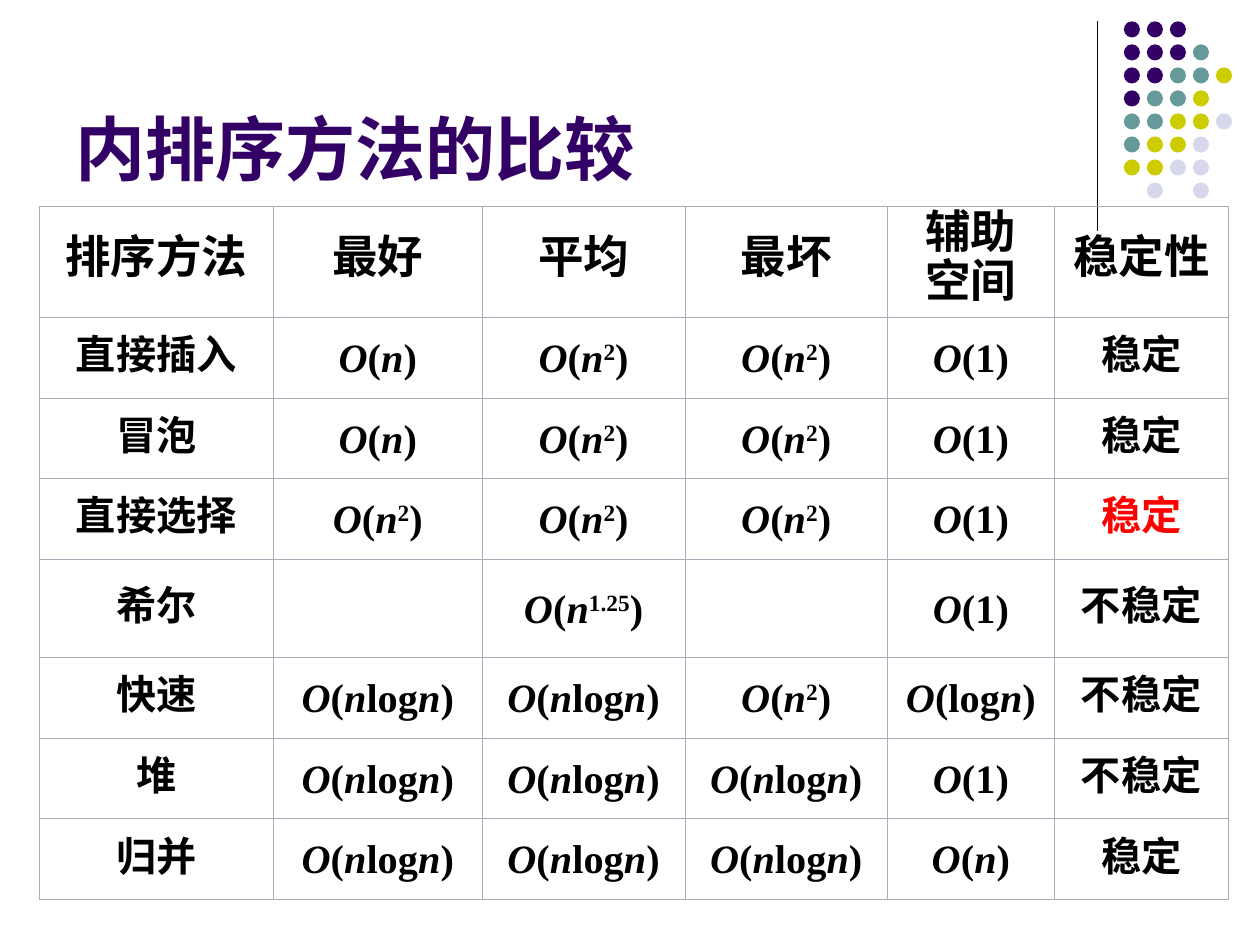
from itertools import groupby

from lxml import etree
from pptx import Presentation
from pptx.dml.color import RGBColor
from pptx.enum.shapes import MSO_CONNECTOR, MSO_SHAPE
from pptx.enum.text import MSO_ANCHOR, PP_ALIGN
from pptx.oxml.ns import qn
from pptx.util import Pt

STRAIGHT = MSO_CONNECTOR.STRAIGHT
OVAL = MSO_SHAPE.OVAL
MIDDLE, BOTTOM = MSO_ANCHOR.MIDDLE, MSO_ANCHOR.BOTTOM
CENTER = PP_ALIGN.CENTER

PURPLE, BLACK, RED, GRID = "330066", "000000", "FF0000", "AAAAB8"
DOT_COLORS = {"P": PURPLE, "T": "669999", "Y": "CCCC00", "L": "D8D8EC"}
DOT_ROWS = ["PPP", "PPPT", "PPTTY", "PTTY", "TTYYL", "TYYL", "YYLL", " L L"]
DOT_PITCH, DOT_SIZE = 13.15, 9.2

COLUMN_WIDTHS = [133.7, 119.2, 116, 115.6, 95.5, 99.4]
HEADER_HEIGHT, ROW_HEIGHT, SHELL_HEIGHT = 63.36, 46.08, 56.16
SHELL_ROW = 4
RED_CELL = (3, 5)
ROWS = [
    ["排序方法", "最好", "平均", "最坏", "辅助\n空间", "稳定性"],
    ["直接插入", "O(n)", "O(n^2)", "O(n^2)", "O(1)", "稳定"],
    ["冒泡", "O(n)", "O(n^2)", "O(n^2)", "O(1)", "稳定"],
    ["直接选择", "O(n^2)", "O(n^2)", "O(n^2)", "O(1)", "稳定"],
    ["希尔", "", "O(n^1.25)", "", "O(1)", "不稳定"],
    ["快速", "O(nlogn)", "O(nlogn)", "O(n^2)", "O(logn)", "不稳定"],
    ["堆", "O(nlogn)", "O(nlogn)", "O(nlogn)", "O(1)", "不稳定"],
    ["归并", "O(nlogn)", "O(nlogn)", "O(nlogn)", "O(n)", "稳定"],
]


def rgb(value):
    return RGBColor.from_string(value)


def style_font(font, name, size, color):
    font.name = name
    font.size = Pt(size)
    font.bold = True
    font.color.rgb = rgb(color)


def add_divider(page):
    line = page.shapes.add_connector(STRAIGHT, Pt(627), Pt(12.24), Pt(627), Pt(131.8))
    line.line.color.rgb = rgb(BLACK)
    line.line.width = Pt(0.75)
    etree.SubElement(line._element.spPr, qn("a:effectLst"))


def add_dots(page):
    group = page.shapes.add_group_shape()
    for row, pattern in enumerate(DOT_ROWS):
        for column, key in enumerate(pattern):
            if key == " ":
                continue
            dot = group.shapes.add_shape(
                OVAL, Pt(642.2 + column * DOT_PITCH), Pt(12.2 + row * DOT_PITCH),
                Pt(DOT_SIZE), Pt(DOT_SIZE))
            dot.shadow.inherit = False
            dot.fill.solid()
            dot.fill.fore_color.rgb = rgb(DOT_COLORS[key])
            dot.line.fill.background()


def add_title(page, text):
    box = page.shapes.add_textbox(Pt(36), Pt(9.36), Pt(594), Pt(102.24))
    frame = box.text_frame
    frame.word_wrap = True
    frame.vertical_anchor = BOTTOM
    frame.text = text
    style_font(frame.paragraphs[0].runs[0].font, "Karla", 40, PURPLE)


def add_formula(para, formula):
    """Italic O and n, upright for the rest; ^ starts an exponent."""
    base, _, tail = formula.partition("^")
    for italic, letters in groupby(base, key=lambda letter: letter in "On"):
        span = para.add_run()
        span.text = "".join(letters)
        span.font.italic = italic
    if tail:
        exponent, closing = para.add_run(), para.add_run()
        exponent.text, closing.text = tail[:-1], tail[-1]
        exponent._r.get_or_add_rPr().set("baseline", "30000")


def set_borders(cell):
    properties = cell._tc.get_or_add_tcPr()
    for index, side in enumerate(("a:lnL", "a:lnR", "a:lnT", "a:lnB")):
        border = etree.Element(qn(side), w=str(Pt(0.45)))
        fill = etree.SubElement(border, qn("a:solidFill"))
        etree.SubElement(fill, qn("a:srgbClr"), val=GRID)
        properties.insert(index, border)


def fill_cell(cell, text, font_name, size, spacing, color):
    cell.fill.background()
    set_borders(cell)
    cell.vertical_anchor = MIDDLE
    frame = cell.text_frame
    if text.startswith("O("):
        add_formula(frame.paragraphs[0], text)
    else:
        frame.text = text
    for para in frame.paragraphs:
        para.alignment = CENTER
        para.line_spacing = Pt(spacing)
        for span in para.runs:
            style_font(span.font, font_name, size, color)


def add_comparison_table(page):
    heights = [HEADER_HEIGHT] + [ROW_HEIGHT] * (len(ROWS) - 1)
    heights[SHELL_ROW] = SHELL_HEIGHT
    table = page.shapes.add_table(
        len(ROWS), len(COLUMN_WIDTHS), Pt(22.6), Pt(118),
        Pt(sum(COLUMN_WIDTHS)), Pt(sum(heights))).table
    table.first_row = table.horz_banding = False
    for column, width in zip(table.columns, COLUMN_WIDTHS):
        column.width = Pt(width)
    for row, height in zip(table.rows, heights):
        row.height = Pt(height)
    for row, texts in enumerate(ROWS):
        size, spacing = (23, 27) if row else (26, 28)
        for column, text in enumerate(texts):
            font_name = "Times New Roman" if row and column else "Arial"
            color = RED if (row, column) == RED_CELL else BLACK
            fill_cell(table.cell(row, column), text, font_name, size, spacing, color)


def main():
    deck = Presentation()
    deck.slide_width, deck.slide_height = Pt(720), Pt(540)
    page = deck.slides.add_slide(deck.slide_layouts[6])
    add_divider(page)
    add_dots(page)
    add_title(page, "内排序方法的比较")
    add_comparison_table(page)
    deck.save("out.pptx")


if __name__ == "__main__":
    main()
